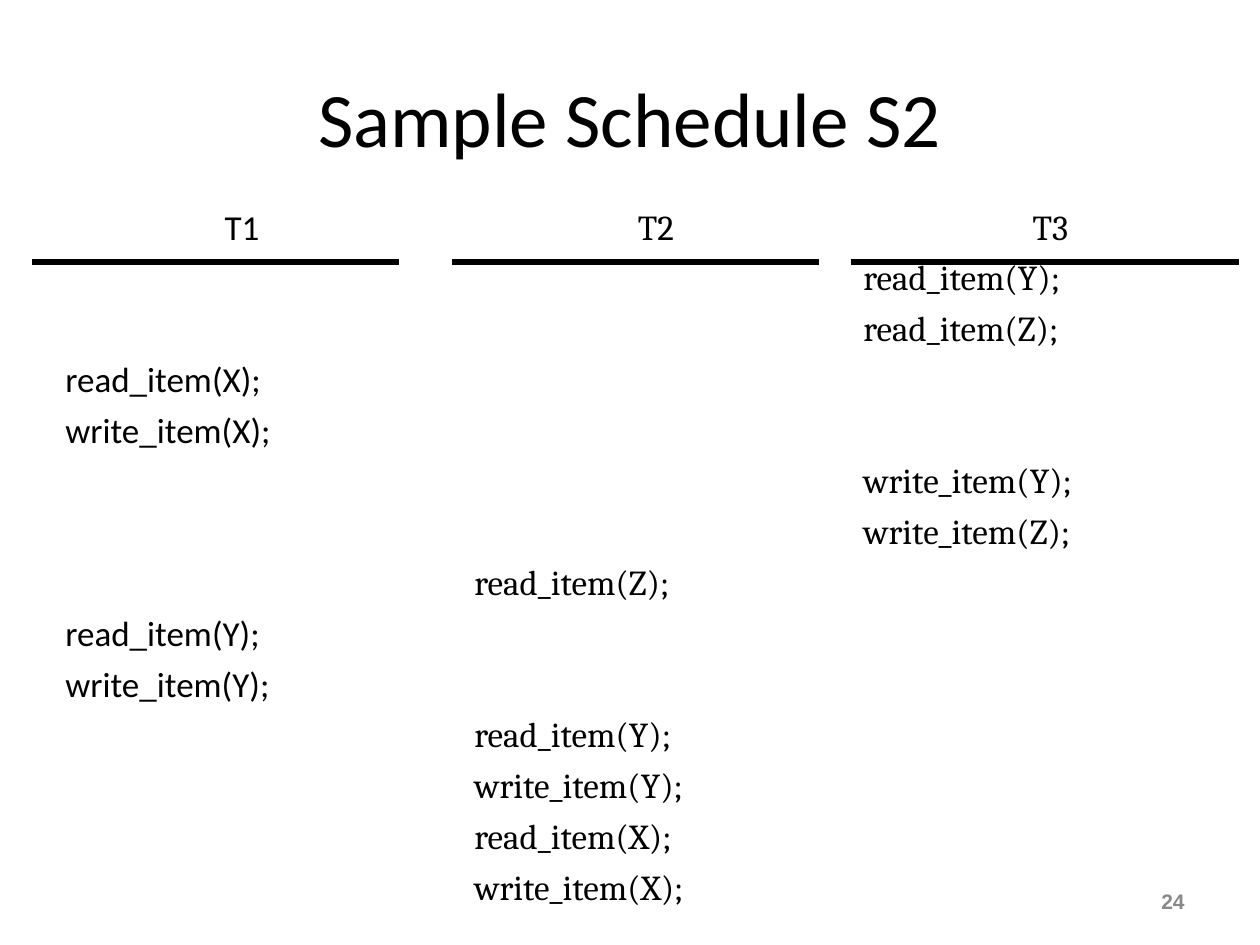
"""Build the Sample Schedule S2 slide: three transaction columns on a shared time grid."""
from pptx import Presentation
from pptx import util as u
from pptx.dml.color import RGBColor
from pptx.enum import shapes, text
from pptx.oxml.ns import qn
from lxml import etree

BLACK = RGBColor(0x00, 0x00, 0x00)
GREY = RGBColor(0x89, 0x89, 0x89)
PX = u.Inches(1) / 126
ROW_PITCH = 29
ROW_GAP = 5


def px(n):
    return u.Emu(round(n * PX))


def add_text(s, box, lines, font, size, color, align, anchor):
    sp = s.shapes.add_textbox(*map(px, box))
    tf = sp.text_frame
    tf.word_wrap = True
    tf.vertical_anchor = anchor
    tf.text = "\n".join(lines)
    for p in tf.paragraphs:
        p.alignment = align
        p.font.size = u.Pt(size)
        for r in p.runs:
            r.font.name = font
            r.font.size = u.Pt(size)
            r.font.color.rgb = color
    return tf


prs = Presentation()
prs.slide_width, prs.slide_height = px(1260), px(945)
s = prs.slides.add_slide(prs.slide_layouts[6])

tf = add_text(s, (903, 876, 294, 50), ["24"], "Arial", 12, GREY,
              text.PP_ALIGN.RIGHT, text.MSO_ANCHOR.MIDDLE)
tf.paragraphs[0].runs[0].font.bold = True
add_text(s, (63, 38, 1134, 157), ["Sample Schedule S2"], "Calibri", 44, BLACK,
         text.PP_ALIGN.CENTER, text.MSO_ANCHOR.MIDDLE)

columns = [
    ("T1", "Calibri", (53, 199, 378, 620), (32, 399),
     {3: "read_item(X);", 4: "write_item(X);", 8: "read_item(Y);", 9: "write_item(Y);"}),
    ("T2", "Cambria", (462, 199, 388, 746), (452, 819),
     {7: "read_item(Z);", 10: "read_item(Y);", 11: "write_item(Y);",
      12: "read_item(X);", 13: "write_item(X);"}),
    ("T3", "Cambria", (851, 199, 399, 620), (851, 1239),
     {1: "read_item(Y);", 2: "read_item(Z);", 5: "write_item(Y);", 6: "write_item(Z);"}),
]
for name, font, box, (x1, x2), steps in columns:
    tf = add_text(s, box, [name, *steps.values()], font, 20, BLACK,
                  text.PP_ALIGN.LEFT, text.MSO_ANCHOR.TOP)
    tf.paragraphs[0].alignment = text.PP_ALIGN.CENTER
    previous = -1
    for p, row in zip(tf.paragraphs, [0, *steps]):
        p.space_before = u.Pt(ROW_GAP + ROW_PITCH * (row - previous - 1))
        previous = row

    line = s.shapes.add_connector(shapes.MSO_CONNECTOR.STRAIGHT, px(x1), px(262), px(x2), px(262))
    line.line.color.rgb = BLACK
    line.line.width = u.Pt(3)
    etree.SubElement(line._element.spPr, qn("a:effectLst"))

prs.save("out.pptx")
